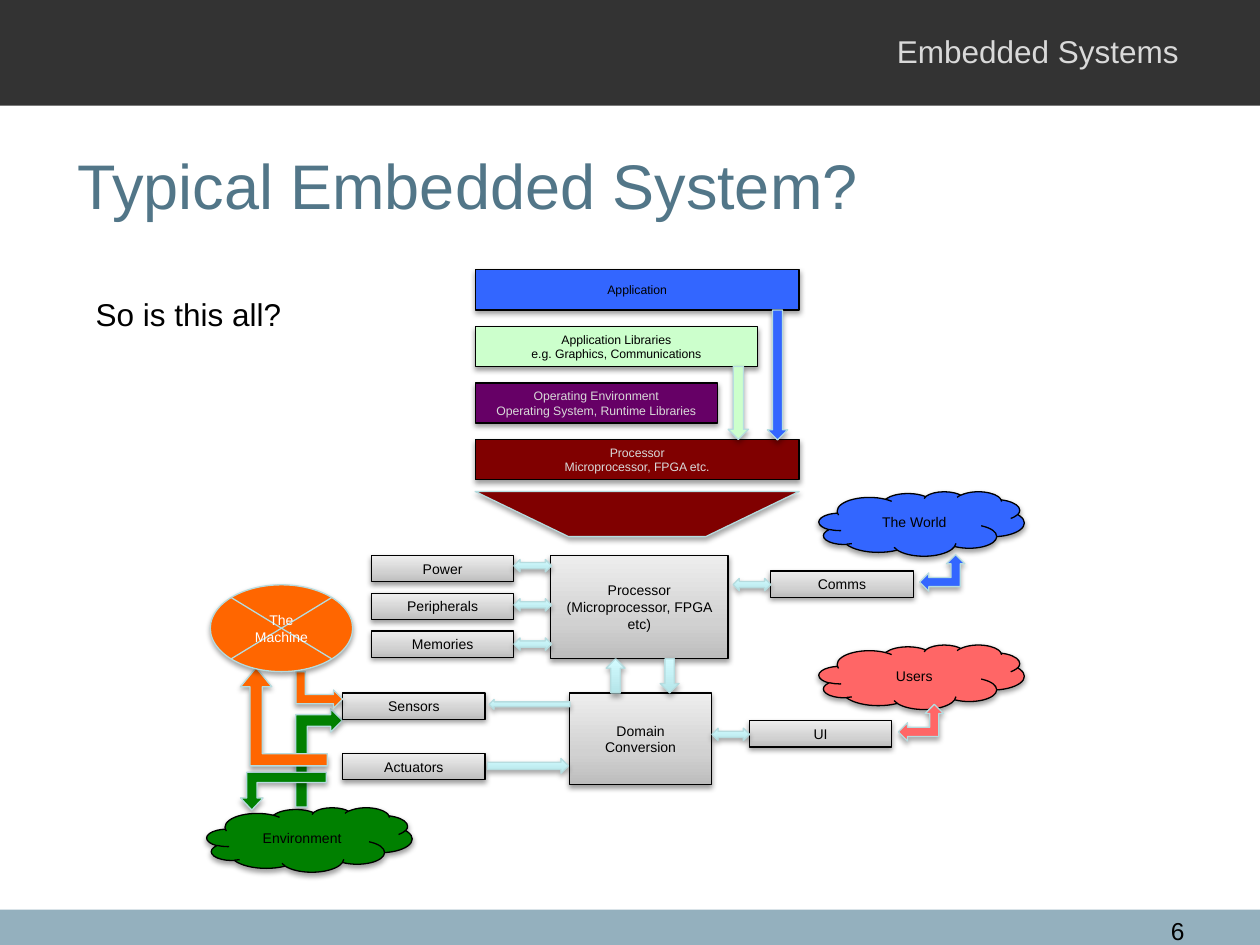
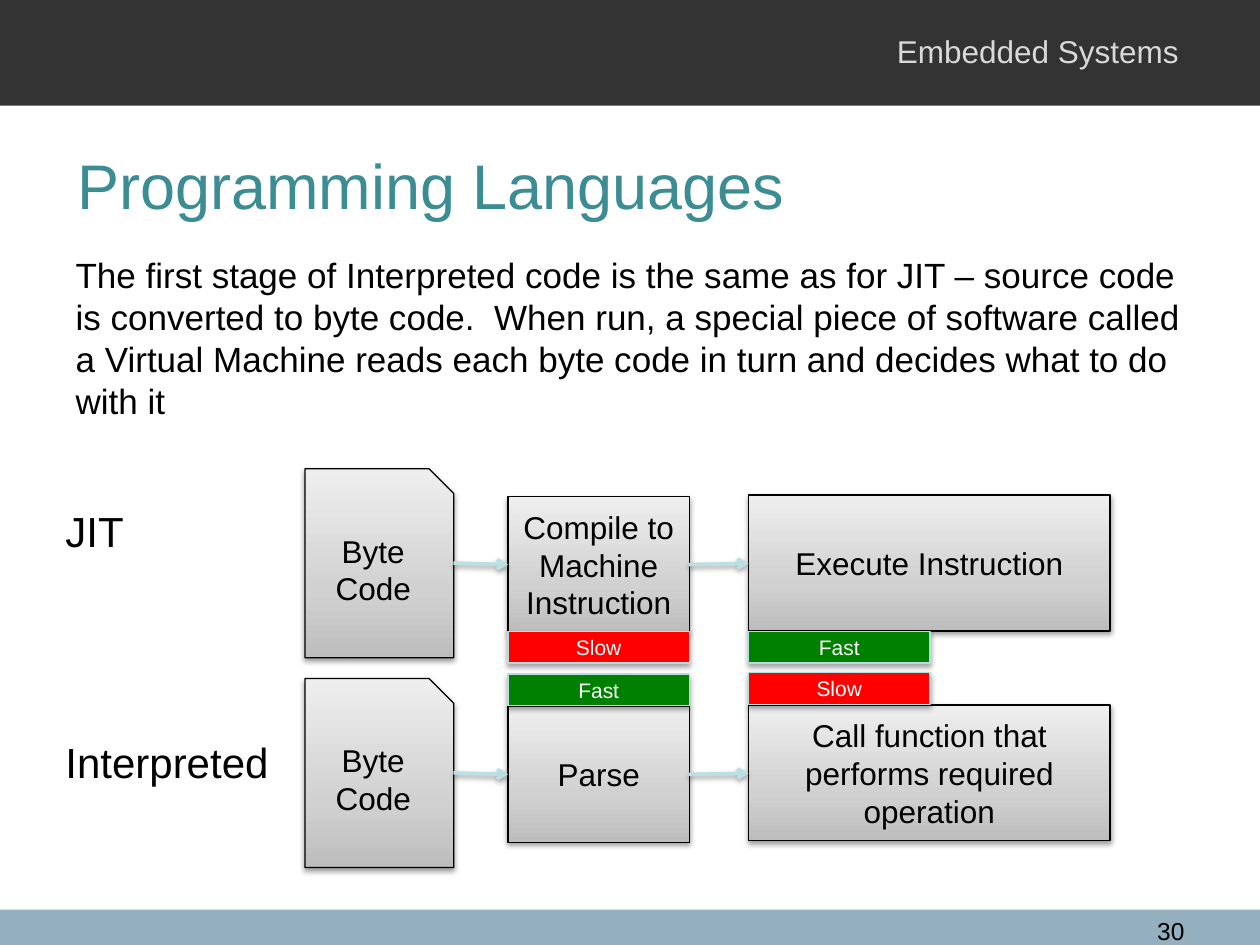
from lxml import etree
from pptx import Presentation
from pptx import util as u
from pptx.dml.color import RGBColor
from pptx.enum import shapes, text
from pptx.oxml.ns import qn

KIND = shapes.MSO_SHAPE
ALIGN = text.PP_ALIGN
ANCHOR = text.MSO_ANCHOR
FONT = "Arial"

# Colours
BLACK = RGBColor(0x00, 0x00, 0x00)
WHITE = RGBColor(0xFF, 0xFF, 0xFF)
PALE_GREY = RGBColor(0xD9, 0xD9, 0xD9)
HEADER = RGBColor(0x33, 0x33, 0x33)
FOOTER = RGBColor(0x94, 0xB0, 0xBE)
SLATE = RGBColor(0x52, 0x76, 0x88)
TEAL = RGBColor(0x3C, 0x8C, 0x93)
BLUE = RGBColor(0x33, 0x66, 0xFF)
MINT = RGBColor(0xCC, 0xFF, 0xCC)
PURPLE = RGBColor(0x66, 0x00, 0x66)
MAROON = RGBColor(0x80, 0x00, 0x00)
GREEN = RGBColor(0x00, 0x80, 0x00)
ORANGE = RGBColor(0xFF, 0x66, 0x00)
PINK = RGBColor(0xFF, 0x66, 0x66)
RED = RGBColor(0xFF, 0x00, 0x00)
EDGE = RGBColor(0xB6, 0xDC, 0xDF)
ARROW = RGBColor(0xBB, 0xE0, 0xE3)

# Gradients run from bottom to top: (percent, colour)
SILVER = [(0, RGBColor(0xBD, 0xBD, 0xBD)), (35, RGBColor(0xD1, 0xD1, 0xD1)),
          (100, RGBColor(0xEE, 0xEE, 0xEE))]
ICE = [(0, RGBColor(0xB5, 0xE5, 0xE9)), (100, RGBColor(0xD3, 0xFB, 0xFF))]

# Repeated sizes, in centimetres
SMALL_BOX = (2.87, 0.53)
CLOUD = (4.14, 1.3)
LINK = (0.76, 0.25)
CORNER = (0.91, 0.74)


def cm(*lengths):
    return [u.Cm(length) for length in lengths]


def write(frame, lines, size, color, align=ALIGN.LEFT, anchor=ANCHOR.TOP, wrap=True):
    frame.word_wrap = wrap
    frame.auto_size = text.MSO_AUTO_SIZE.NONE
    frame.vertical_anchor = anchor
    for index, line in enumerate(lines):
        para = frame.add_paragraph() if index else frame.paragraphs[0]
        para.alignment = align
        span = para.add_run()
        span.text = line
        span.font.name = FONT
        span.font.size = u.Pt(size)
        span.font.color.rgb = color


def add_label(page, at, words, size, color=BLACK, align=ALIGN.LEFT, wrap=True):
    box = page.shapes.add_textbox(*cm(*at))
    write(box.text_frame, [words], size, color, align, wrap=wrap)


def add_shadow(properties, alpha=38, distance=1.6):
    effects = properties.find(qn("a:effectLst"))
    if effects is None:
        effects = etree.SubElement(properties, qn("a:effectLst"))
    shadow = etree.SubElement(effects, qn("a:outerShdw"), blurRad=str(u.Pt(3.1)),
                              dist=str(u.Pt(distance)), dir="5400000", rotWithShape="0")
    color = etree.SubElement(shadow, qn("a:srgbClr"), val=str(BLACK))
    etree.SubElement(color, qn("a:alpha"), val=str(alpha * 1000))


def paint(shape, fill):
    if isinstance(fill, RGBColor):
        shape.fill.solid()
        shape.fill.fore_color.rgb = fill
        return
    shape.fill.gradient()
    shape.fill.gradient_angle = 90
    stops = next(shape._element.spPr.iter(qn("a:gsLst")))
    for stop in list(stops):
        stops.remove(stop)
    for percent, color in fill:
        stop = etree.SubElement(stops, qn("a:gs"), pos=str(percent * 1000))
        etree.SubElement(stop, qn("a:srgbClr"), val=str(color))


def add_band(page, top, height, color):
    band = page.shapes.add_shape(KIND.RECTANGLE, *cm(0, top, 25.4, height))
    band.shadow.inherit = False
    paint(band, color)
    band.line.fill.background()


def add_block(page, kind, at, fill, lines=(), size=8, color=BLACK, line=BLACK):
    block = page.shapes.add_shape(kind, *cm(*at))
    block.shadow.inherit = False
    paint(block, fill)
    block.line.color.rgb = line
    block.line.width = u.Pt(0.75)
    if line == EDGE:
        add_shadow(block._element.spPr, 35, 1.8)
    else:
        add_shadow(block._element.spPr)
    write(block.text_frame, lines, size, color, ALIGN.CENTER, ANCHOR.MIDDLE)
    return block


def add_arrow(page, kind, at, fill, flip="", turn=0, adjust=()):
    arrow = add_block(page, kind, at, fill, line=EDGE)
    arrow.rotation = turn
    for axis in flip:
        arrow._element.spPr.xfrm.set("flip" + axis, "1")
    for index, value in enumerate(adjust):
        arrow.adjustments[index] = value


def add_flow_line(page, start, end):
    line = page.shapes.add_connector(shapes.MSO_CONNECTOR.STRAIGHT, *cm(*start, *end))
    line.line.color.rgb = ARROW
    line.line.width = u.Pt(2)
    etree.SubElement(line.line._get_or_add_ln(), qn("a:tailEnd"), type="arrow")
    add_shadow(line._element.spPr)


def add_page(deck, layout, title, title_color, number):
    page = deck.slides.add_slide(deck.slide_layouts[layout])
    add_band(page, 18.34, 0.71, FOOTER)
    add_band(page, 0, 2.13, HEADER)
    add_label(page, (17.83, 0.53, 6.35, 1.02), "Embedded Systems", 18, PALE_GREY)
    heading = page.shapes.title
    heading.left, heading.top, heading.width, heading.height = cm(1.3, 2.13, 22.86, 3.18)
    write(heading.text_frame, [title], 36, title_color, anchor=ANCHOR.MIDDLE)
    add_label(page, (22.5, 18.34, 1.63, 0.61), number, 14, align=ALIGN.RIGHT)
    return page


def add_body(page, words):
    body = page.placeholders[1]
    body.left, body.top, body.width, body.height = cm(1.27, 4.98, 22.86, 6.12)
    write(body.text_frame, [words], 20, BLACK)
    properties = body.text_frame.paragraphs[0]._p.get_or_add_pPr()
    properties.set("marL", "0")
    properties.set("indent", "0")
    etree.SubElement(properties, qn("a:buNone"))


def draw_software_stack(page):
    layers = [
        (6.53, BLUE, BLACK, ["Application"]),
        (5.69, MINT, BLACK, ["Application Libraries", "e.g. Graphics, Communications"]),
        (4.88, PURPLE, PALE_GREY,
         ["Operating Environment", "Operating System, Runtime Libraries"]),
        (6.53, MAROON, PALE_GREY, ["Processor", "Microprocessor, FPGA etc."]),
    ]
    for row, (width, fill, color, lines) in enumerate(layers):
        add_block(page, KIND.RECTANGLE, (9.58, 5.44 + 1.14 * row, width, 0.81),
                  fill, lines, 7, color)
    add_arrow(page, KIND.DOWN_ARROW, (15.47, 6.25, 0.41, 2.62), BLUE)
    add_arrow(page, KIND.DOWN_ARROW, (14.68, 7.39, 0.41, 1.47), MINT)
    add_arrow(page, KIND.TRAPEZOID, (9.58, 9.91, 6.53, 0.91), MAROON, "V", adjust=[2.07])


def draw_hardware(page):
    # Environment arrows lie behind everything else
    add_arrow(page, KIND.BENT_UP_ARROW, (5.44, 14.81, 1.98, 0.94), GREEN, "V", 270)
    add_arrow(page, KIND.BENT_UP_ARROW, (4.85, 15.57, 1.73, 0.76), GREEN, "HV",
              adjust=[0.27, 0.3, 0.32])

    # Processing blocks and devices
    add_block(page, KIND.RECTANGLE, (11.1, 11.2, 3.58, 2.08), SILVER,
              ["Processor", "(Microprocessor, FPGA etc)"])
    add_block(page, KIND.RECTANGLE, (11.48, 13.97, 2.87, 1.85), SILVER, ["Domain Conversion"])
    devices = [("Sensors", 6.91, 13.97), ("Actuators", 6.91, 15.19), ("UI", 15.11, 14.53),
               ("Comms", 15.54, 11.51)]
    devices += [(name, 7.49, 11.2 + 0.76 * row)
                for row, name in enumerate(["Power", "Peripherals", "Memories"])]
    for name, left, top in devices:
        add_block(page, KIND.RECTANGLE, (left, top, *SMALL_BOX), SILVER, [name])

    # Links between blocks
    add_arrow(page, KIND.DOWN_ARROW, (13.31, 13.28, 0.38, 0.69), ICE)
    add_arrow(page, KIND.UP_ARROW, (12.22, 13.28, 0.38, 0.69), ICE)
    add_arrow(page, KIND.LEFT_ARROW, (9.86, 14.1, 1.63, 0.2), ICE)
    add_arrow(page, KIND.RIGHT_ARROW, (9.83, 15.29, 1.63, 0.3), ICE)
    links = [(14.35, 14.68), (14.78, 11.66)] + [(10.36, 11.28 + 0.79 * row) for row in range(3)]
    for place in links:
        add_arrow(page, KIND.LEFT_RIGHT_ARROW, (*place, *LINK), ICE)

    # Machine arrows, then the outside world
    add_arrow(page, KIND.BENT_UP_ARROW, (4.85, 13.46, 1.75, 1.98), ORANGE, "H",
              adjust=[0.14, 0.18, 0.22])
    add_arrow(page, KIND.BENT_UP_ARROW, (6.07, 13.44, 0.74, 0.94), ORANGE, "HV", 270)
    for name, left, top, fill in [("Users", 16.51, 13, PINK), ("The World", 16.51, 9.91, BLUE),
                                  ("Environment", 4.17, 16.28, GREEN)]:
        add_block(page, KIND.CLOUD, (left, top, *CLOUD), fill, [name])
    add_block(page, KIND.FLOWCHART_SUMMING_JUNCTION, (4.24, 11.79, 2.87, 1.75), ORANGE,
              ["The Machine"], color=WHITE, line=EDGE)
    add_arrow(page, KIND.LEFT_UP_ARROW, (18.11, 14.2, *CORNER), PINK)
    add_arrow(page, KIND.LEFT_UP_ARROW, (18.54, 11.18, *CORNER), BLUE)


def draw_pipeline(page, drop, second, third):
    stages = [
        (KIND.RECTANGLE, (10.24, 10.01 + drop, 3.66, 2.74), second),
        (KIND.SNIP_1_RECTANGLE, (6.15, 9.45 + drop, 3, 3.81), "Byte Code"),
        (KIND.RECTANGLE, (15.09, 9.98 + drop, 7.29, 2.74), third),
    ]
    for kind, at, words in stages:
        add_block(page, kind, at, SILVER, [words], 18)
    add_flow_line(page, (9.14, 11.35 + drop), (10.24, 11.38 + drop))
    add_flow_line(page, (13.89, 11.38 + drop), (15.09, 11.36 + drop))


def add_speed(page, left, top, word):
    add_block(page, KIND.RECTANGLE, (left, top, 3.66, 0.64),
              RED if word == "Slow" else GREEN, [word], 12, WHITE, EDGE)


def main():
    deck = Presentation()
    deck.slide_width, deck.slide_height = cm(25.4, 19.05)

    # Typical system
    page = add_page(deck, 5, "Typical Embedded System?", SLATE, "6")
    draw_software_stack(page)
    draw_hardware(page)
    add_label(page, (1.68, 5.82, 4.29, 1.02), "So is this all?", 18, wrap=False)

    # Just-in-time against interpreted code
    page = add_page(deck, 1, "Programming Languages", TEAL, "30")
    add_body(page, "The first stage of Interpreted code is the same as for JIT – source code "
             "is converted to byte code.  When run, a special piece of software called a "
             "Virtual Machine reads each byte code in turn and decides what to do with it")
    add_label(page, (1.07, 10.06, 1.68, 1.27), "JIT", 24, wrap=False)
    add_label(page, (1.07, 14.73, 4.65, 1.27), "Interpreted", 24, wrap=False)
    draw_pipeline(page, 0, "Compile to Machine Instruction", "Execute Instruction")
    draw_pipeline(page, 4.23, "Parse", "Call function that performs required operation")
    for left, top, word in [(10.24, 12.73, "Slow"), (10.24, 13.59, "Fast"),
                            (15.09, 12.73, "Fast"), (15.09, 13.56, "Slow")]:
        add_speed(page, left, top, word)

    deck.save("out.pptx")


if __name__ == "__main__":
    main()
